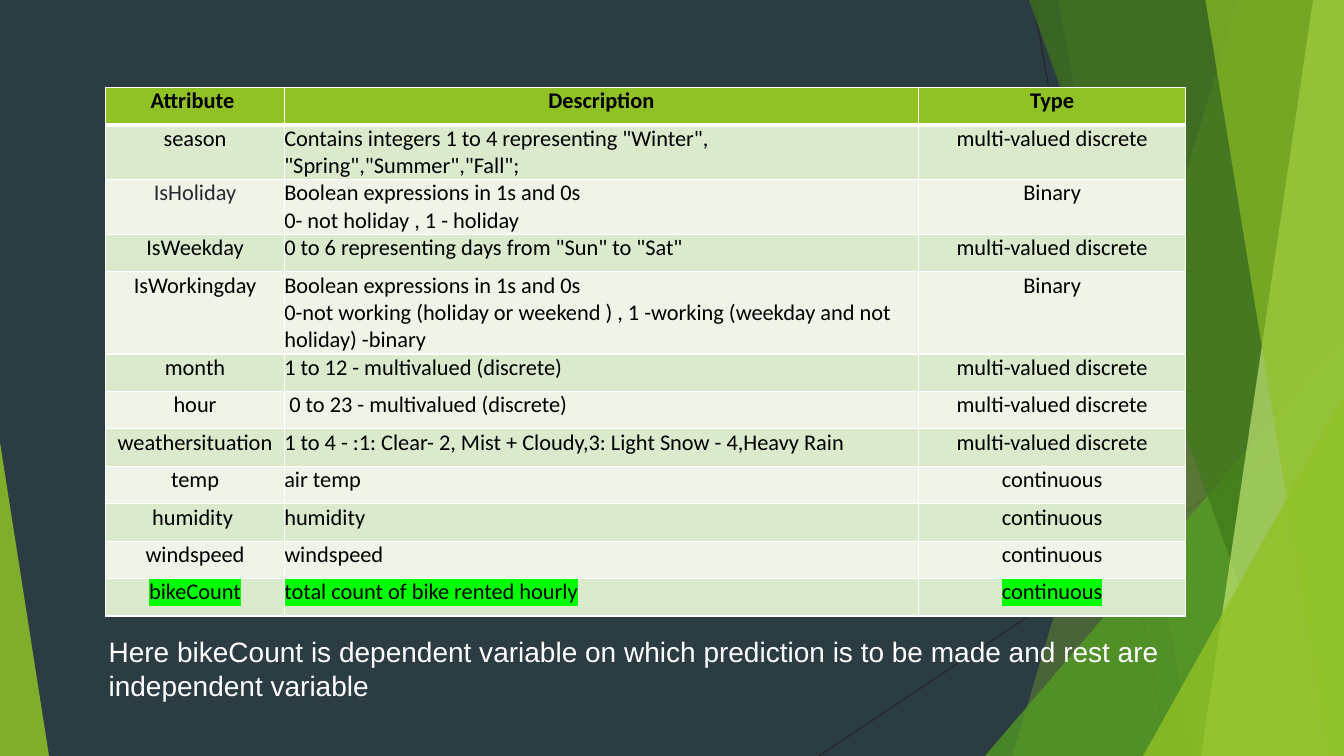
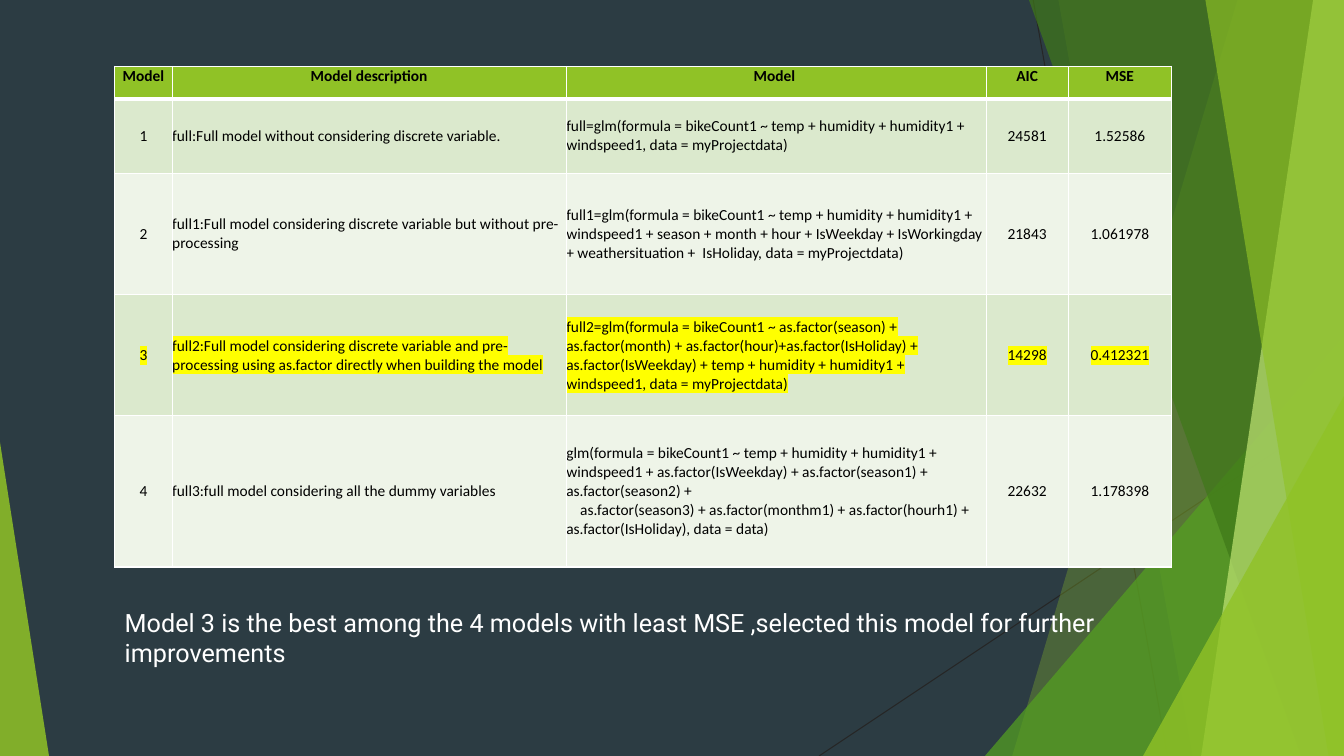
from lxml import etree
from pptx import Presentation
from pptx.dml.color import RGBColor
from pptx.enum.shapes import MSO_CONNECTOR, MSO_SHAPE
from pptx.enum.text import MSO_ANCHOR, PP_ALIGN
from pptx.oxml.ns import qn
from pptx.util import Pt

CENTER, LEFT = PP_ALIGN.CENTER, PP_ALIGN.LEFT
TOP, MIDDLE = MSO_ANCHOR.TOP, MSO_ANCHOR.MIDDLE
TRIANGLE = MSO_SHAPE.ISOSCELES_TRIANGLE
STRAIGHT = MSO_CONNECTOR.STRAIGHT

WIDE, HIGH = 960, 540
COLORS = {
    "back": "2C3C43", "line": "262626", "lime": "90C226", "green": "54A021",
    "dark": "3F7819", "pale": "C0E474", "odd": "DBE9CD", "even": "EEF4E8",
    "white": "FFFFFF", "black": "000000", "ink": "24292E",
    "neon": "00FF00", "yellow": "FFFF00",
}

# Thin lines: x1, y1, x2, y2
RAYS = [(738, 0, 834, HIGH), (WIDE, 290, 585, HIGH)]
# "wedge": top x, bottom x, reaching the right edge
# "peak": left, top, width, place of the tip, reaching the bottom edge
FACETS = [
    ("wedge", (884, 723), "lime", 30),
    ("wedge", (756, 852), "lime", 20),
    ("peak", (703.5, 240, 256.5, 1), "green", 72),
    ("wedge", (735, 929.5), "dark", 70),
    ("wedge", (938, 858), "pale", 70),
    ("wedge", (861, 949), "lime", 65),
    ("peak", (816.5, 283, 143.5, 1), "lime", 80),
    ("peak", (0, 316, 35, 0), "lime", 85),
]

MULTI, BINARY, CONT = "multi-valued discrete", "Binary", "continuous"
SLIDES = [
    {
        "at": (75.6, 62.4), "size": 16, "anchor": TOP,
        "cols": [127.5, 453, 191],
        "rows": [26.75, 34.5, 34.5, 26.75, 52] + [26.75] * 7,
        "left": {1}, "mark": (11, "neon"), "tint": {(2, 0): "ink"},
        "cells": [
            ("Attribute ", "Description", "Type"),
            ("season", 'Contains integers 1 to 4 representing "Winter", '
             '"Spring","Summer","Fall";', MULTI),
            ("IsHoliday", "Boolean expressions in 1s and 0s \n"
             "0- not holiday , 1 - holiday", BINARY),
            ("IsWeekday", '0 to 6 representing days from "Sun" to "Sat"',
             MULTI),
            ("IsWorkingday", "Boolean expressions in 1s and 0s \n"
             "0-not working (holiday or weekend ) , 1 -working "
             "(weekday and not holiday) -binary", BINARY),
            ("month", "1 to 12 - multivalued (discrete)", MULTI),
            ("hour", " 0 to 23 - multivalued (discrete)", MULTI),
            ("weathersituation", "1 to 4 - :1: Clear- 2, Mist + Cloudy,"
             "3: Light Snow - 4,Heavy Rain", MULTI),
            ("temp", "air temp", CONT),
            ("humidity ", "humidity", CONT),
            ("windspeed", "windspeed", CONT),
            ("bikeCount", "total count of bike rented hourly", CONT),
        ],
        "note": ("Here bikeCount is dependent variable on which prediction "
                 "is to be made and rest are independent variable",
                 (70.5, 450, 781, 55.5), "Arial", 20),
    },
    {
        "at": (82, 47.5), "size": 11, "anchor": MIDDLE,
        "cols": [41, 281.5, 300, 58.5, 74],
        "rows": [23, 53.5, 86.5, 86.5, 108],
        "left": {1, 2}, "mark": (3, "yellow"), "tint": {},
        "cells": [
            ("Model", "Model description", "Model ", "AIC", "MSE"),
            ("1", "full:Full model without considering discrete variable.",
             "full=glm(formula = bikeCount1 ~ temp + humidity + humidity1 + "
             "windspeed1, data = myProjectdata)", "24581", "1.52586"),
            ("2", "full1:Full model considering discrete variable but "
             "without pre-processing",
             "full1=glm(formula = bikeCount1 ~ temp + humidity + humidity1 + "
             "windspeed1 + season + month + hour + IsWeekday + IsWorkingday "
             "+ weathersituation +  IsHoliday, data = myProjectdata)",
             "21843", "1.061978"),
            ("3", "full2:Full model considering discrete variable and "
             "pre-processing using as.factor directly when building the "
             "model",
             "full2=glm(formula = bikeCount1 ~ as.factor(season) + "
             "as.factor(month) + as.factor(hour)+as.factor(IsHoliday) + "
             "as.factor(IsWeekday) + temp + humidity + humidity1 + "
             "windspeed1, data = myProjectdata)", "14298", "0.412321"),
            ("4", "full3:full model considering all the dummy variables",
             "glm(formula = bikeCount1 ~ temp + humidity + humidity1 + "
             "windspeed1 + as.factor(IsWeekday) + as.factor(season1) + "
             "as.factor(season2) + \n"
             "    as.factor(season3) + as.factor(monthm1) + "
             "as.factor(hourh1) + as.factor(IsHoliday), data = data)",
             "22632", "1.178398"),
        ],
        "note": ("Model 3 is the best among the 4 models with least MSE "
                 ",selected this model for further improvements",
                 (82, 430, 754.5, 51), "Roboto", 18),
    },
]


def rgb(name):
    return RGBColor.from_string(COLORS[name])


def paint(fill, name):
    fill.solid()
    fill.fore_color.rgb = rgb(name)


def style(para, face, size, color, bold=False):
    font = para.font
    font.name, font.size, font.bold = face, Pt(size), bold
    font.color.rgb = rgb(color)


def add_facet(shapes, kind, spots, color, alpha):
    if kind == "wedge":
        top, base = spots
        pen = shapes.build_freeform(Pt(top), 0)
        pen.add_line_segments([(Pt(x), Pt(y)) for x, y in
                               [(WIDE, 0), (WIDE, HIGH), (base, HIGH)]])
        shape = pen.convert_to_shape()
    else:
        x, y, wide, tip = spots
        shape = shapes.add_shape(TRIANGLE, Pt(x), Pt(y), Pt(wide),
                                 Pt(HIGH - y))
        shape.adjustments[0] = tip
    shape.shadow.inherit = False
    shape.line.fill.background()
    paint(shape.fill, color)
    tone = shape._element.spPr.find(".//" + qn("a:srgbClr"))
    etree.SubElement(tone, qn("a:alpha"), val=str(alpha * 1000))


def add_backdrop(slide):
    paint(slide.background.fill, "back")
    for ray in RAYS:
        line = slide.shapes.add_connector(STRAIGHT, *map(Pt, ray))
        line.line.width = Pt(0.75)
        line.line.color.rgb = rgb("line")
        etree.SubElement(line._element.spPr, qn("a:effectLst"))
    for facet in FACETS:
        add_facet(slide.shapes, *facet)


def add_borders(cell, widths):
    """Draw white edges, given in the order left, right, top, bottom."""
    props = cell._tc.get_or_add_tcPr()
    for spot, (side, width) in enumerate(zip("LRTB", widths)):
        edge = etree.Element(qn("a:ln" + side), w=str(Pt(width)))
        fill = etree.SubElement(edge, qn("a:solidFill"))
        etree.SubElement(fill, qn("a:srgbClr"), val=COLORS["white"])
        props.insert(spot, edge)


def highlight(para, name):
    for run in para.runs:
        mark = etree.SubElement(run._r.get_or_add_rPr(), qn("a:highlight"))
        etree.SubElement(mark, qn("a:srgbClr"), val=COLORS[name])


def add_grid(slide, data):
    cols, rows = data["cols"], data["rows"]
    frame = slide.shapes.add_table(
        len(rows), len(cols), *map(Pt, data["at"]), Pt(sum(cols)),
        Pt(sum(rows)))
    table = frame.table
    for col, wide in zip(table.columns, cols):
        col.width = Pt(wide)
    for row, high in zip(table.rows, rows):
        row.height = Pt(high)
    marked, glow = data["mark"]
    for i, texts in enumerate(data["cells"]):
        head = i == 0
        for j, text in enumerate(texts):
            cell = table.cell(i, j)
            cell.margin_left = cell.margin_right = 0
            cell.margin_top = cell.margin_bottom = 0
            cell.vertical_anchor = TOP if head else data["anchor"]
            paint(cell.fill, "lime" if head else "odd" if i % 2 else "even")
            add_borders(cell, (1, 1, 3 if i == 1 else 1, 3 if head else 1))
            para = cell.text_frame.paragraphs[0]
            para.text = text
            para.alignment = LEFT if j in data["left"] and not head else CENTER
            style(para, "Calibri", data["size"],
                  data["tint"].get((i, j), "black"), head)
            if i == marked:
                highlight(para, glow)


def add_note(slide, text, box, face, size):
    frame = slide.shapes.add_textbox(*map(Pt, box)).text_frame
    frame.word_wrap = True
    para = frame.paragraphs[0]
    para.text = text
    style(para, face, size, "white")


def main():
    deck = Presentation()
    deck.slide_width, deck.slide_height = Pt(WIDE), Pt(HIGH)
    for data in SLIDES:
        slide = deck.slides.add_slide(deck.slide_layouts[6])
        add_backdrop(slide)
        add_grid(slide, data)
        add_note(slide, *data["note"])
    deck.save("out.pptx")


if __name__ == "__main__":
    main()
